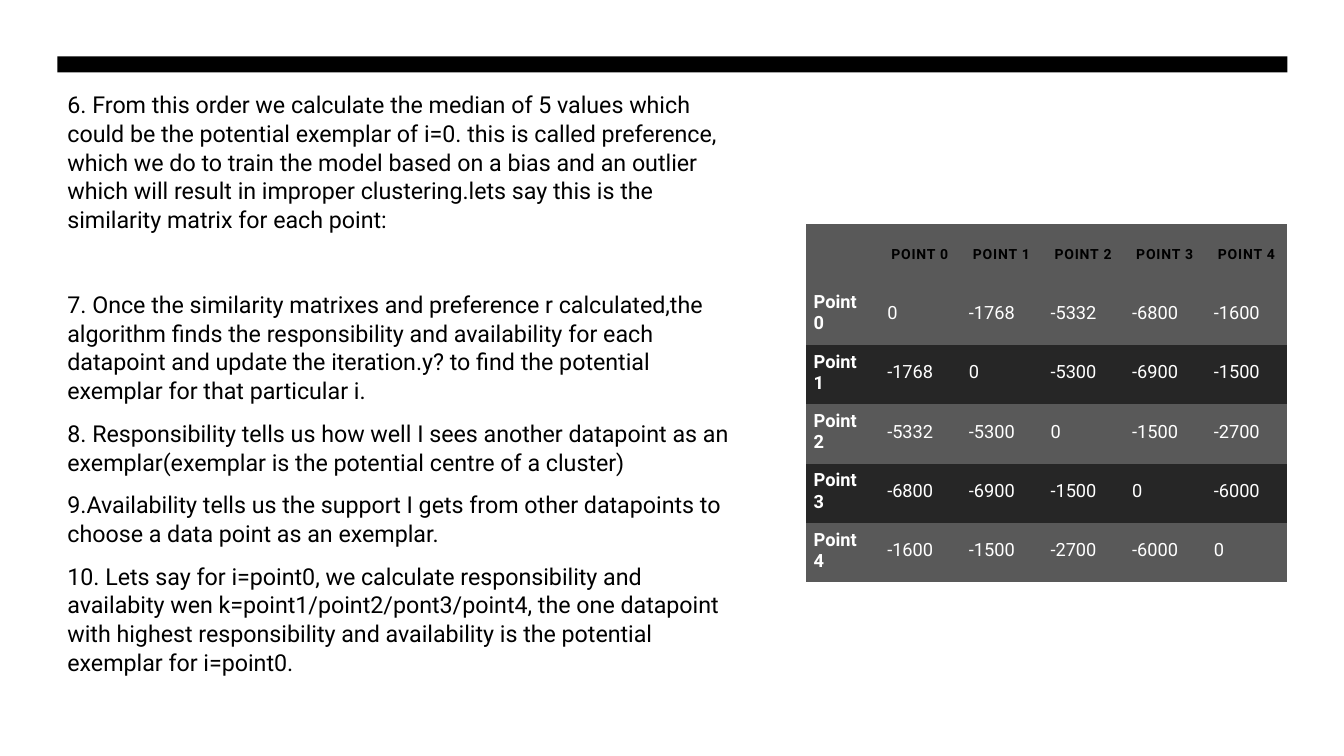
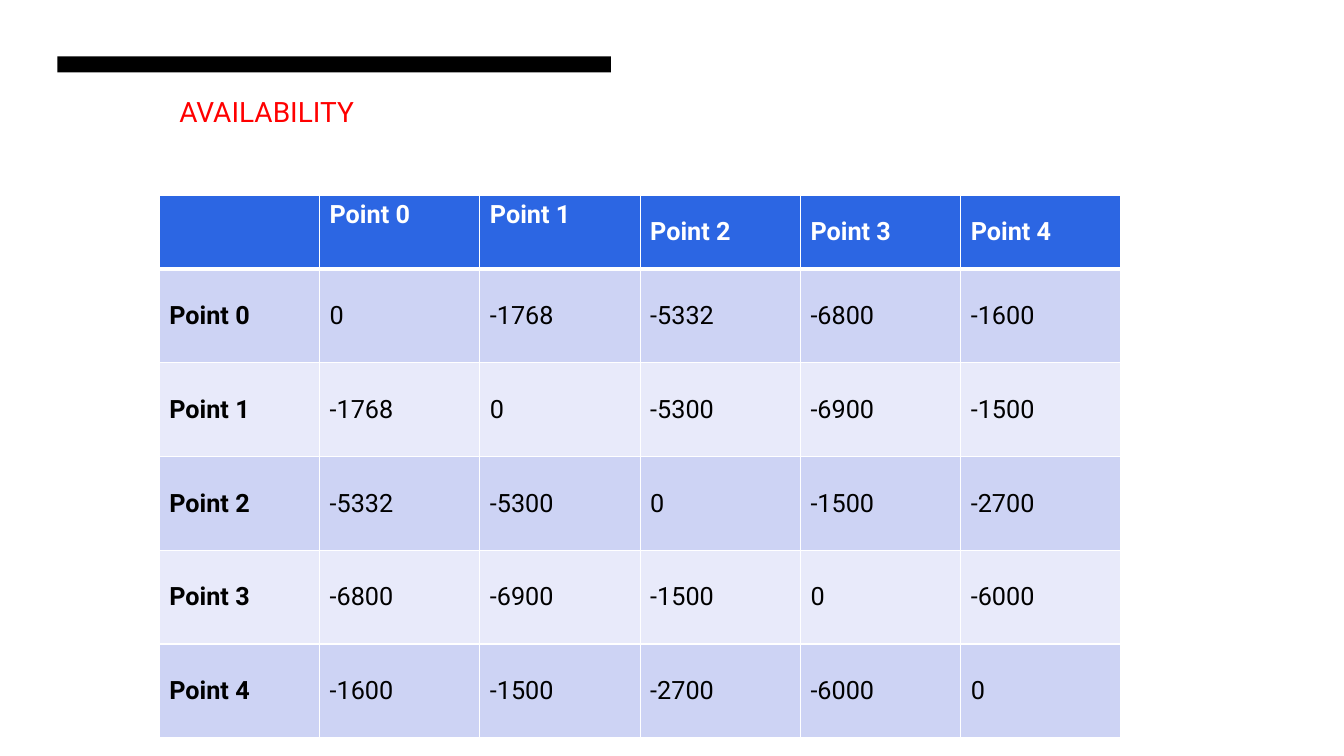
from lxml import etree
from pptx import Presentation
from pptx.dml.color import RGBColor
from pptx.enum import shapes, text
from pptx.oxml import ns
from pptx.util import Inches, Pt

FONT = "Roboto"
BLACK, WHITE, RED = "000000", "FFFFFF", "FF0000"
DARK_BANDS = ("595959", "262626")
BLUE, BLUE_BANDS = "2C66E3", ("CDD3F4", "E8EAFA")
POINTS = [f"Point {number}" for number in range(5)]
SIMILARITY = [
    [0, -1768, -5332, -6800, -1600],
    [-1768, 0, -5300, -6900, -1500],
    [-5332, -5300, 0, -1500, -2700],
    [-6800, -6900, -1500, 0, -6000],
    [-1600, -1500, -2700, -6000, 0],
]
STEPS = [
    "6. From this order we calculate the median of 5 values which could be the potential "
    "exemplar of i=0. this is called preference, which we do to train the model based on a "
    "bias and an outlier which will result in improper clustering.lets say this is the "
    "similarity matrix for each point:",
    "7. Once the similarity matrixes and preference r calculated,the algorithm finds the "
    "responsibility and availability for each datapoint and update the iteration.y? to find "
    "the potential exemplar for that particular i.",
    "8. Responsibility tells us how well I sees another datapoint as an exemplar(exemplar is "
    "the potential centre of a cluster)",
    "9.Availability tells us the support I gets from other datapoints to choose a data point "
    "as an exemplar.",
    "10. Lets say for i=point0, we calculate responsibility and availabity wen "
    "k=point1/point2/pont3/point4, the one datapoint with highest responsibility and "
    "availability is the potential exemplar for i=point0.",
]
STEP_GAPS = [0, 40, 10, 10, 10]


def color(value):
    """Turn a hex string into a colour."""
    return RGBColor.from_string(value)


def add_run(paragraph, words, size, ink, bold=False, tracking=0):
    """Add one formatted run to a paragraph."""
    run = paragraph.add_run()
    run.text = words
    run.font.name = FONT
    run.font.size = Pt(size)
    run.font.bold = bold
    run.font.color.rgb = color(ink)
    if tracking:
        run.font._element.set("spc", str(round(tracking * 100)))


def add_bar(slide, width):
    """Draw the black band at the top of a slide."""
    bar = slide.shapes.add_shape(shapes.MSO_SHAPE.RECTANGLE, Inches(0.57), Inches(0.56),
                                 Inches(width), Inches(0.16))
    bar.shadow.inherit = False
    bar.fill.solid()
    bar.fill.fore_color.rgb = color(BLACK)
    bar.line.fill.background()


def add_text(slide, box, paragraphs, gaps, size, ink, spacing):
    """Add a wrapped text box with a gap before each paragraph."""
    frame = slide.shapes.add_textbox(*map(Inches, box)).text_frame
    frame.word_wrap = True
    for index, (words, gap) in enumerate(zip(paragraphs, gaps)):
        paragraph = frame.add_paragraph() if index else frame.paragraphs[0]
        paragraph.space_before = Pt(gap)
        paragraph.line_spacing = spacing
        add_run(paragraph, words, size, ink)


def set_borders(cell, widths):
    """Give a cell white borders in points, or none where the width is zero."""
    properties = cell._tc.get_or_add_tcPr()
    for index, (side, width) in enumerate(zip("LRTB", widths)):
        line = etree.Element(ns.qn(f"a:ln{side}"), w=str(Pt(width)))
        if width:
            fill = etree.SubElement(line, ns.qn("a:solidFill"))
            etree.SubElement(fill, ns.qn("a:srgbClr"), val=WHITE)
        else:
            etree.SubElement(line, ns.qn("a:noFill"))
        properties.insert(index, line)


def fill_cell(cell, words, fill, insets, borders, **style):
    """Set the text, fill, margins and borders of a cell."""
    cell.fill.solid()
    cell.fill.fore_color.rgb = color(fill)
    cell.vertical_anchor = text.MSO_ANCHOR.MIDDLE
    cell.margin_left, cell.margin_top, cell.margin_right, cell.margin_bottom = map(Inches, insets)
    set_borders(cell, borders)
    if words:
        add_run(cell.text_frame.paragraphs[0], words, **style)


def add_matrix(slide, corner, columns, rows, header, body):
    """Add the similarity table, with header and body looks, and return it."""
    count = len(POINTS) + 1
    widths = [columns[0]] + [columns[1]] * len(POINTS)
    heights = [rows[0]] + [rows[1]] * len(POINTS)
    box = map(Inches, (*corner, sum(widths), sum(heights)))
    table = slide.shapes.add_table(count, count, *box).table
    for column, width in zip(table.columns, widths):
        column.width = Inches(width)
    for row, height in zip(table.rows, heights):
        row.height = Inches(height)
    bands = body.pop("bands")
    for index, words in enumerate([""] + POINTS):
        words = words.upper() if header.get("tracking") else words
        fill_cell(table.cell(0, index), words, bold=True, **header)
    for row, (point, values) in enumerate(zip(POINTS, SIMILARITY), 1):
        for column, words in enumerate([point, *map(str, values)]):
            fill_cell(table.cell(row, column), words, bands[(row - 1) % 2],
                      bold=column == 0, **body)
    return table


def build_steps(slide):
    """Build the slide with the numbered steps and the dark matrix."""
    add_text(slide, (0.57, 0.84, 6.85, 6.1), STEPS, STEP_GAPS, 16.6, BLACK, 1.03)
    add_bar(slide, 12.2)
    no_borders = (0, 0, 0, 0)
    add_matrix(slide, (7.99, 2.22), (0.73, 0.81), (0.61, 0.59),
               dict(fill=DARK_BANDS[0], insets=(0.12,) * 4, borders=no_borders,
                    size=10, ink=BLACK, tracking=0.6),
               dict(bands=DARK_BANDS, insets=(0.08, 0.04, 0.08, 0.08), borders=no_borders,
                    size=13, ink=WHITE))


def build_availability(slide):
    """Build the slide with the availability title and the blue matrix."""
    add_bar(slide, 5.49)
    add_text(slide, (1.68, 0.86, 11.1, 0.5), ["AVAILABILITY"], [0], 20, RED, 1.1)
    insets = (0.1, 0.05, 0.1, 0.05)
    table = add_matrix(slide, (1.58, 1.94), (1.59, 1.59), (0.73, 0.93),
                       dict(fill=BLUE, insets=insets, borders=(1, 1, 1, 3),
                            size=18, ink=WHITE),
                       dict(bands=BLUE_BANDS, insets=insets, borders=(1, 1, 1, 1),
                            size=18, ink=BLACK))
    for column in (1, 2):
        table.cell(0, column).vertical_anchor = text.MSO_ANCHOR.TOP
    for column in range(len(POINTS) + 1):
        top = table.cell(1, column)._tc.tcPr.find(ns.qn("a:lnT"))
        top.set("w", str(Pt(3)))


def main():
    """Build and save the presentation."""
    presentation = Presentation()
    presentation.slide_width, presentation.slide_height = Inches(13.33), Inches(7.5)
    for build in (build_steps, build_availability):
        build(presentation.slides.add_slide(presentation.slide_layouts[6]))
    presentation.save("out.pptx")


if __name__ == "__main__":
    main()
